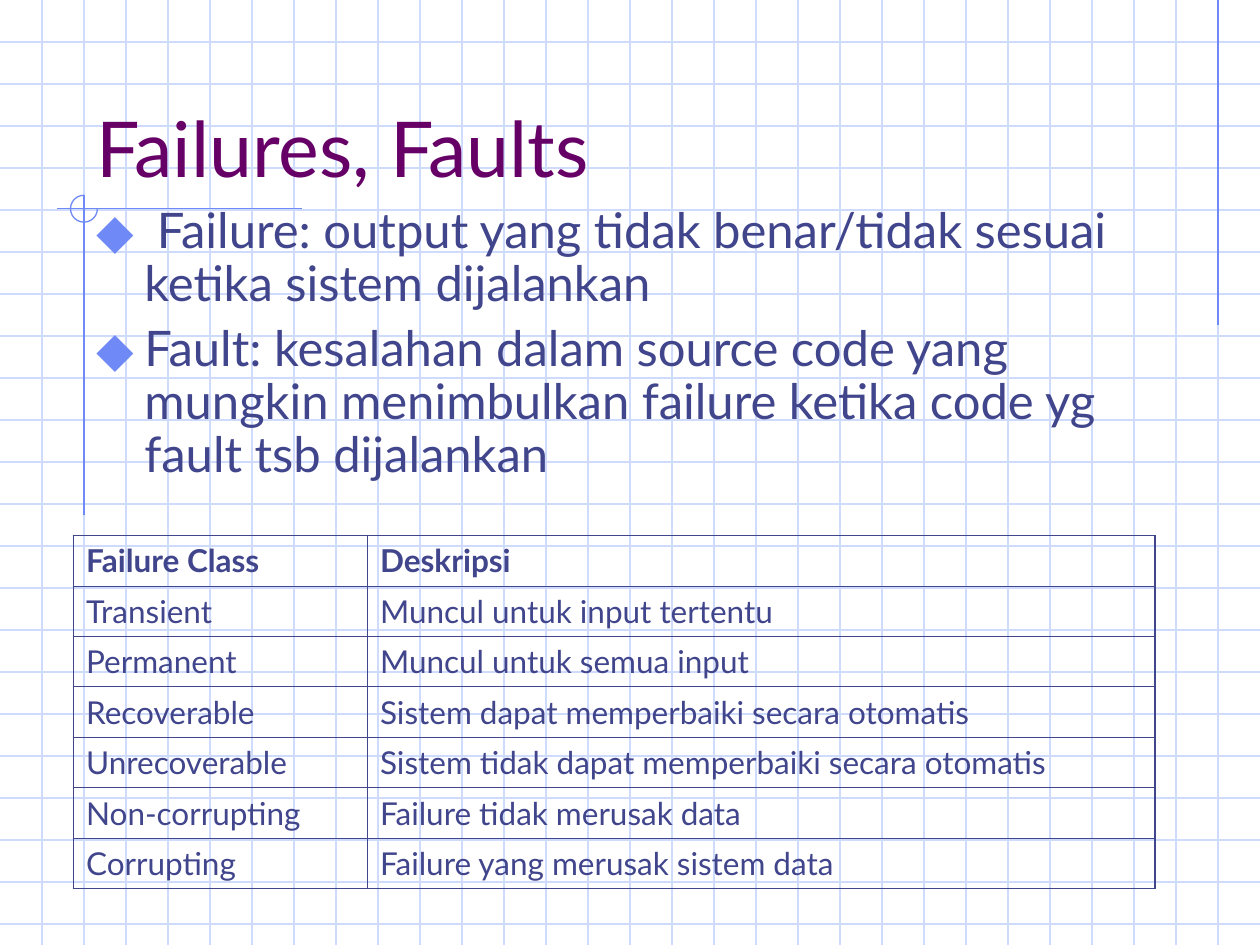
import lxml.etree
import pptx
import pptx.dml.color
import pptx.enum.shapes
import pptx.enum.text
import pptx.oxml.ns
import pptx.util

RGBColor = pptx.dml.color.RGBColor
qn = pptx.oxml.ns.qn

GRID_BLUE = RGBColor(0xCF, 0xDB, 0xFD)
ACCENT_BLUE = RGBColor(0x6F, 0x89, 0xF7)
TEXT_BLUE = RGBColor(0x40, 0x45, 0x8C)
TITLE_PURPLE = RGBColor(0x66, 0x00, 0x66)

COLUMNS, ROWS = 30, 22.5  # squares of the ruled paper
TITLE = "Failures, Faults"
DEFINITIONS = [
    " Failure: output yang tidak benar/tidak sesuai ketika sistem dijalankan",
    "Fault: kesalahan dalam source code yang mungkin menimbulkan failure "
    "ketika code yg fault tsb dijalankan",
]
FAILURE_CLASSES = [
    ("Failure Class", "Deskripsi"),
    ("Transient", "Muncul untuk input tertentu"),
    ("Permanent", "Muncul untuk semua input"),
    ("Recoverable", "Sistem dapat memperbaiki secara otomatis"),
    ("Unrecoverable", "Sistem tidak dapat memperbaiki secara otomatis"),
    ("Non-corrupting", "Failure tidak merusak data"),
    ("Corrupting", "Failure yang merusak sistem data"),
]


def squares(count):
    """Length of a number of grid squares, three to the inch."""
    return pptx.util.Inches(count / 3)


def write_text(paragraph, text, size, color, font="Lato", bold=False,
               before=0, spacing=1.0):
    paragraph.alignment = pptx.enum.text.PP_ALIGN.LEFT
    paragraph.line_spacing = spacing
    paragraph.space_before = pptx.util.Pt(before)
    run = paragraph.add_run()
    run.text = text
    run.font.name = font
    run.font.size = pptx.util.Pt(size)
    run.font.bold = bold
    run.font.color.rgb = color


def add_bullet(paragraph, character, color, percent, indent):
    properties = paragraph._p.get_or_add_pPr()
    properties.set("marL", str(indent))
    properties.set("indent", str(-indent))
    bullet_color = lxml.etree.SubElement(properties, qn("a:buClr"))
    lxml.etree.SubElement(bullet_color, qn("a:srgbClr"), val=str(color))
    lxml.etree.SubElement(properties, qn("a:buSzPct"), val=str(percent * 1000))
    lxml.etree.SubElement(properties, qn("a:buFont"), typeface="Lato")
    lxml.etree.SubElement(properties, qn("a:buChar"), char=character)


def set_border(cell, side, width, color):
    border = lxml.etree.SubElement(cell._tc.get_or_add_tcPr(), qn(f"a:ln{side}"),
                                   w=str(pptx.util.Pt(width)))
    fill = lxml.etree.SubElement(border, qn("a:solidFill"))
    lxml.etree.SubElement(fill, qn("a:srgbClr"), val=str(color))


class RuledPaperSlide:
    line_width = 0.75
    inner_border, outer_border = 0.45, 1.08

    def __init__(self, presentation):
        self.slide = presentation.slides.add_slide(presentation.slide_layouts[1])

    def line(self, start, end, color):
        connector = self.slide.shapes.add_connector(
            pptx.enum.shapes.MSO_CONNECTOR.STRAIGHT,
            *(squares(value) for value in (*start, *end)))
        connector.line.color.rgb = color
        connector.line.width = pptx.util.Pt(self.line_width)
        lxml.etree.SubElement(connector.element.spPr, qn("a:effectLst"))

    def ruling(self):
        for row in range(1, int(ROWS) + 1):
            self.line((0, row), (COLUMNS, row), GRID_BLUE)
        for column in range(1, COLUMNS):
            self.line((column, 0), (column, ROWS), GRID_BLUE)

    def three_quarter_circle(self, left, top, diameter):
        arc = self.slide.shapes.add_shape(
            pptx.enum.shapes.MSO_SHAPE.ARC, squares(left), squares(top),
            squares(diameter), squares(diameter))
        arc.adjustments[0] = 0
        arc.adjustments[1] = 162  # 270 degrees
        arc.fill.background()
        arc.line.color.rgb = ACCENT_BLUE
        arc.line.width = pptx.util.Pt(self.line_width)
        arc.shadow.inherit = False

    def placeholder(self, index, left, top, width, height, anchor):
        """Place a template placeholder above the shapes drawn so far."""
        shape = self.slide.placeholders[index]
        shape.left, shape.top = squares(left), squares(top)
        shape.width, shape.height = squares(width), squares(height)
        shape.element.getparent().append(shape.element)
        frame = shape.text_frame
        frame.word_wrap = True
        frame.auto_size = pptx.enum.text.MSO_AUTO_SIZE.NONE
        frame.vertical_anchor = anchor
        return frame

    def title(self, text):
        frame = self.placeholder(0, 2, 1, 25.5, 3.75,
                                 pptx.enum.text.MSO_ANCHOR.BOTTOM)
        write_text(frame.paragraphs[0], text, 44, TITLE_PURPLE)

    def bullets(self, texts):
        frame = self.placeholder(1, 2, 4.75, 25.5, 5,
                                 pptx.enum.text.MSO_ANCHOR.TOP)
        for index, text in enumerate(texts):
            paragraph = frame.add_paragraph() if index else frame.paragraphs[0]
            write_text(paragraph, text, 28, TEXT_BLUE, before=7, spacing=0.9)
            add_bullet(paragraph, "⬥", ACCENT_BLUE, 110, pptx.util.Inches(0.38))

    def table(self, rows, left, top, widths, row_height):
        table = self.slide.shapes.add_table(
            len(rows), len(widths), squares(left), squares(top),
            squares(sum(widths)), squares(row_height * len(rows))).table
        table.first_row = table.horz_banding = False
        for column, width in zip(table.columns, widths):
            column.width = squares(width)
        for row_index, texts in enumerate(rows):
            table.rows[row_index].height = squares(row_height)
            for column_index, text in enumerate(texts):
                cell = table.cell(row_index, column_index)
                write_text(cell.text_frame.paragraphs[0], text, 18, TEXT_BLUE,
                           bold=row_index == 0, before=4.5)
                at_edge = {"L": column_index == 0,
                           "R": column_index == len(widths) - 1,
                           "T": row_index == 0,
                           "B": row_index == len(rows) - 1}
                for side, outer in at_edge.items():
                    width = self.outer_border if outer else self.inner_border
                    set_border(cell, side, width, TEXT_BLUE)
                cell.fill.background()


def main():
    presentation = pptx.Presentation()
    presentation.slide_width = squares(COLUMNS)
    presentation.slide_height = squares(ROWS)
    page = RuledPaperSlide(presentation)
    page.ruling()
    page.line((29, 0), (29, 7.75), ACCENT_BLUE)
    page.line((7.2, 4.97), (1.35, 4.97), ACCENT_BLUE)
    page.line((2, 4.65), (2, 12.27), ACCENT_BLUE)
    page.three_quarter_circle(1.68, 4.65, 0.64)
    page.title(TITLE)
    page.bullets(DEFINITIONS)
    page.table(FAILURE_CLASSES, 1.75, 12.75, (7, 18.75), 1.2)
    presentation.save("out.pptx")


if __name__ == "__main__":
    main()
